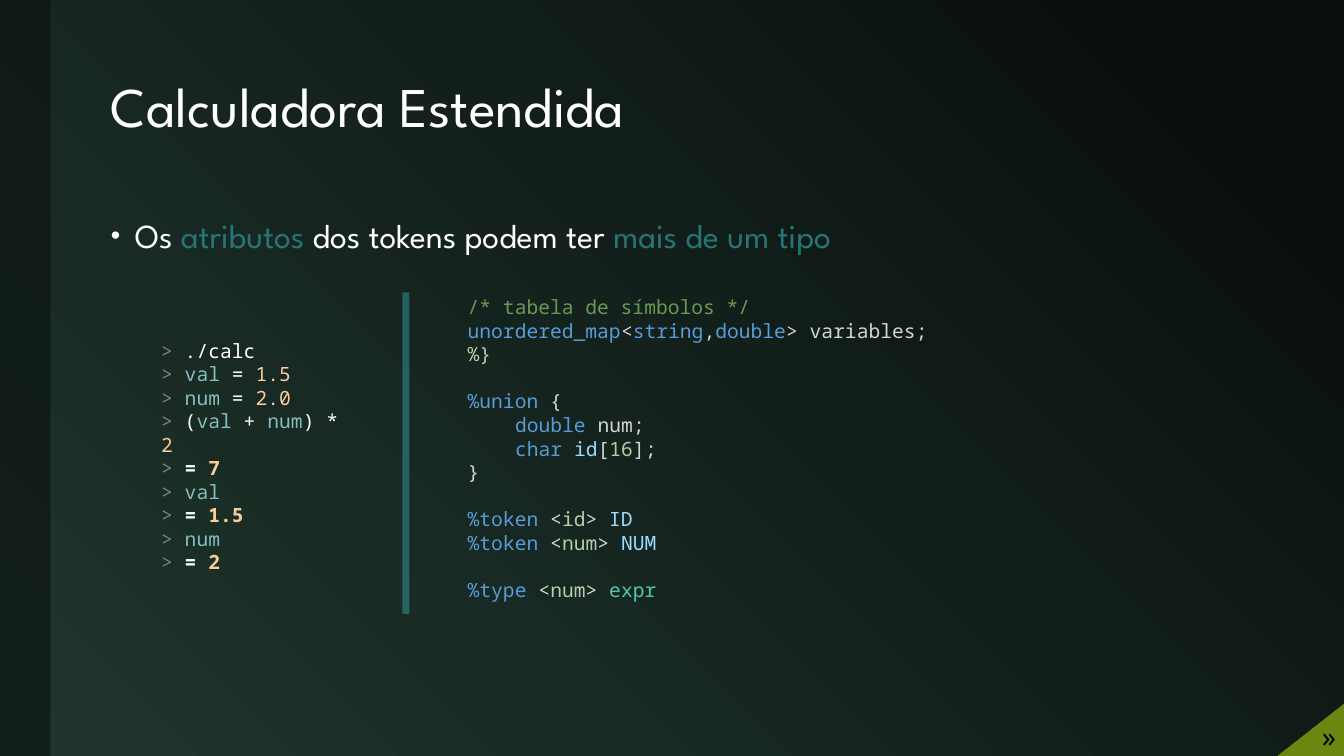
from lxml import etree
from pptx import Presentation
from pptx.dml.color import RGBColor
from pptx.enum.shapes import MSO_SHAPE
from pptx.enum.text import MSO_ANCHOR, MSO_AUTO_SIZE, PP_ALIGN
from pptx.oxml.ns import qn
from pptx.util import Inches, Pt

RECT = MSO_SHAPE.RECTANGLE
MIDDLE, TOP = MSO_ANCHOR.MIDDLE, MSO_ANCHOR.TOP
LEFT = PP_ALIGN.LEFT
NO_FIT = MSO_AUTO_SIZE.NONE

SANS, MONO = "League Spartan", "Noto Sans Mono"
WHITE, BLACK, DARK, PINE = "FFFFFF", "000000", "0A100E", "20362D"
TEAL, BAR, OLIVE = "267577", "339C9F", "6B870F"
# Console colours
PROMPT, NAME, VALUE = "808080", "83BEC0", "F8CC9C"
# Code colours
COMMENT, KEYWORD, PLAIN, NUMBER = "6A9955", "569CD6", "D4D4D4", "B5CEA8"
IDENT, RULE = "9CDCFE", "4EC9B0"

CODE_SIZE = 14
CODE_LINE = 16.8    # points between two code lines
CODE_INDENT = 0.47  # inches, four characters


def rgb(color):
    return RGBColor.from_string(color)


def grid(*cells):
    """Columns and rows of half an inch."""
    return [Inches(cell / 2) for cell in cells]


class Deck:
    def __init__(self):
        self.prs = Presentation()
        self.prs.slide_width, self.prs.slide_height = Inches(13.33), Inches(7.5)
        self.slide = self.prs.slides.add_slide(self.prs.slide_layouts[5])

    def background(self, start, end, angle):
        fill = self.slide.background.fill
        fill.gradient()
        fill.gradient_angle = angle
        for stop, (position, color) in zip(fill.gradient_stops, (start, end)):
            stop.position, stop.color.rgb = position, rgb(color)

    def paint(self, sp, color, alpha=None):
        sp.shadow.inherit = False
        sp.fill.solid()
        sp.fill.fore_color.rgb = rgb(color)
        sp.line.fill.background()
        if alpha:
            tint = sp._element.spPr.find(qn("a:solidFill"))[0]
            etree.SubElement(tint, qn("a:alpha"), val=str(alpha * 1000))

    def rect(self, at, color, alpha):
        self.paint(self.slide.shapes.add_shape(RECT, *grid(*at)), color, alpha)

    def outline(self, points, color):
        start, *rest = [grid(*point) for point in points]
        builder = self.slide.shapes.build_freeform(*start)
        builder.add_line_segments(rest, close=True)
        sp = builder.convert_to_shape()
        self.paint(sp, color)
        sp.line.color.rgb = rgb(color)
        sp.line.width = Pt(1)

    def frame(self, sp, anchor):
        tf = sp.text_frame
        tf.word_wrap, tf.auto_size, tf.vertical_anchor = True, NO_FIT, anchor
        return tf

    def title(self, at, runs, size):
        sp = self.slide.shapes.title
        sp.left, sp.top, sp.width, sp.height = grid(*at)
        p = self.frame(sp, MIDDLE).paragraphs[0]
        p.line_spacing = 0.9
        self.add_runs(p, runs, size, SANS)

    def text(self, at, lines, size, font):
        tf = self.frame(self.slide.shapes.add_textbox(*grid(*at)), TOP)
        for i, runs in enumerate(lines):
            p = tf.add_paragraph() if i else tf.paragraphs[0]
            self.add_runs(p, runs, size, font)
        return tf.paragraphs

    def add_runs(self, p, runs, size, font):
        p.alignment = LEFT
        for text, color, *bold in runs:
            r = p.add_run()
            r.text = text
            r.font.name, r.font.size = font, Pt(size)
            r.font.color.rgb = rgb(color)
            r.font.bold = bool(bold)

    def indent(self, p, left, first=0):
        pPr = p._p.get_or_add_pPr()
        pPr.set("marL", str(Inches(left)))
        pPr.set("indent", str(Inches(first)))
        return pPr

    def bullet(self, p, char, percent, hang):
        pPr = self.indent(p, hang, -hang)
        etree.SubElement(pPr, qn("a:buSzPct"), val=str(percent * 1000))
        etree.SubElement(pPr, qn("a:buFont"), typeface="Arial")
        etree.SubElement(pPr, qn("a:buChar"), char=char)


def entry(*runs):
    return [("> ", PROMPT), *runs]


def result(value):
    return entry(("= ", WHITE, True), (value, VALUE, True))


def assign(name, value):
    return entry((name, NAME), (" = ", WHITE), (value, VALUE))


def declare(directive, kind, symbol, color):
    return [(directive, KEYWORD), (" <", PLAIN), (kind, NUMBER),
            ("> ", PLAIN), (symbol, color)]


deck = Deck()

# Background and side band
deck.background((0.1, DARK), (1, PINE), 225)
deck.rect((0, 0, 1, 15), DARK, 60)

# Title and statement
deck.title((2, 0.84, 23.3, 2.66), [("Calculadora Estendida", WHITE)], 40)
statement = [("Os ", WHITE), ("atributos", TEAL),
             (" dos tokens podem ter ", WHITE), ("mais de um tipo", TEAL)]
p = deck.text((2, 4, 23.3, 9.66), [statement], 24, SANS)[0]
p.line_spacing, p.space_before = 1.2, Pt(18)
deck.bullet(p, "•", 80, 0.24)

# Parser code
code = [
    [("/* tabela de símbolos */", COMMENT)],
    [("unordered_map", KEYWORD), ("<", PLAIN), ("string", KEYWORD),
     (",", PLAIN), ("double", KEYWORD), ("> variables;", PLAIN)],
    [("%}", NUMBER)],
    [("%union", KEYWORD), (" {", PLAIN)],
    [("double", KEYWORD), (" num;", PLAIN)],
    [("char ", KEYWORD), ("id", IDENT), ("[", PLAIN), ("16", NUMBER),
     ("];", PLAIN)],
    [("}", PLAIN)],
    declare("%token", "id", "ID", IDENT),
    declare("%token", "num", "NUM", IDENT),
    declare("%type", "num", "expr", RULE),
]
lines = deck.text((9.08, 5.76, 14.02, 6.8), code, CODE_SIZE, MONO)
for section_start in (3, 7, 9):
    lines[section_start].space_before = Pt(CODE_LINE)
for member in (4, 5):
    deck.indent(lines[member], CODE_INDENT)

# Corner mark
deck.outline([(25.36, 15), (26.66, 13.98), (26.66, 15)], OLIVE)
mark = deck.text((25.86, 14.18, 0.8, 0.82), [[("»", BLACK)]], 20, MONO)[0]
deck.indent(mark, 0.07)

# Divider and console session
deck.rect((7.98, 5.8, 0.14, 6.38), BAR, 50)
session = [
    entry(("./calc", WHITE)),
    assign("val", "1.5"),
    assign("num", "2.0"),
    entry(("(", WHITE), ("val", NAME), (" + ", WHITE), ("num", NAME),
          (") * ", WHITE), ("2", VALUE)),
    result("7"),
    entry(("val", NAME)),
    result("1.5"),
    entry(("num", NAME)),
    result("2"),
]
deck.text((3, 6.62, 4.1, 4.44), session, CODE_SIZE, MONO)

deck.prs.save("out.pptx")
